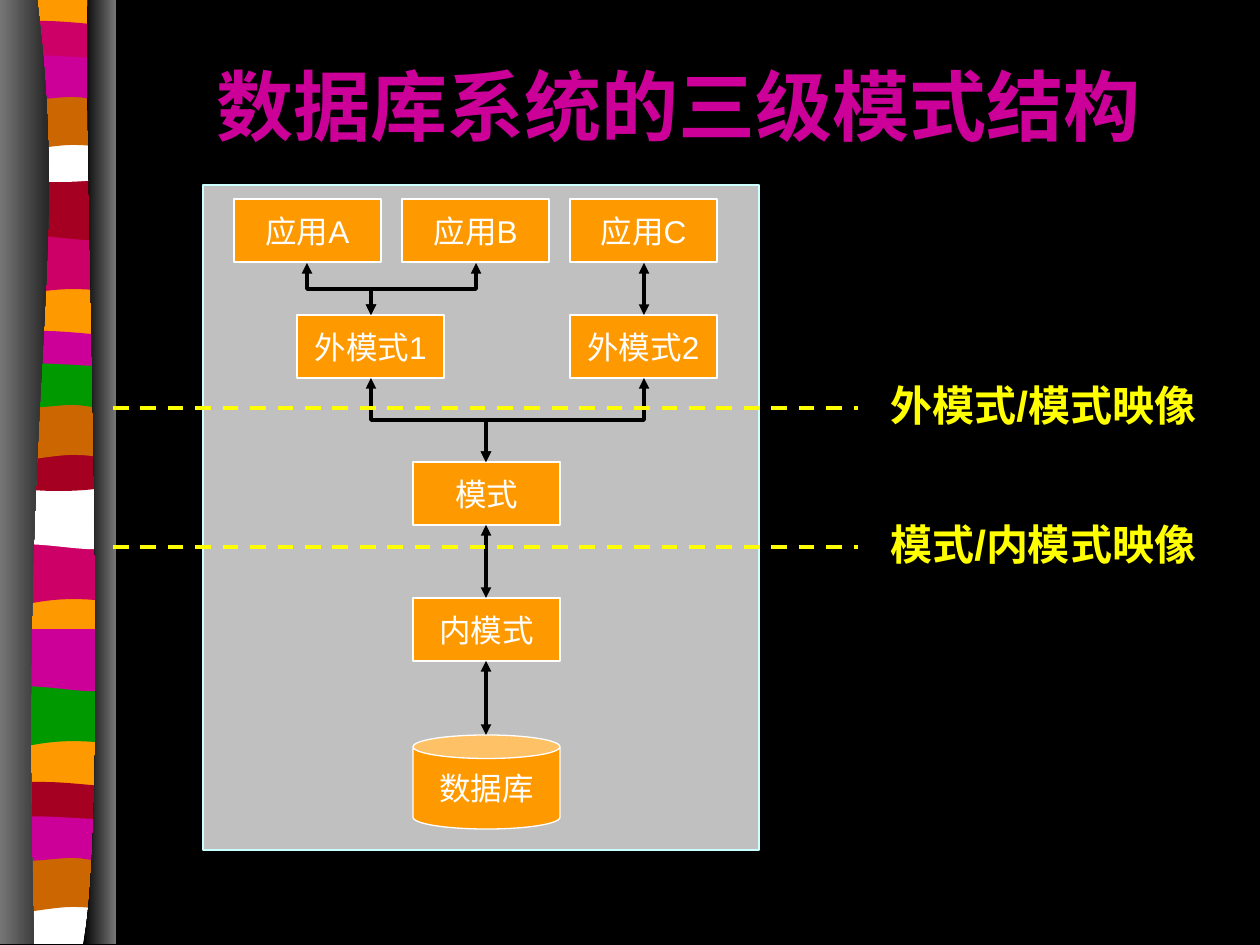
from lxml.etree import SubElement
from pptx import Presentation
from pptx.dml.color import RGBColor
from pptx.enum.dml import MSO_LINE
from pptx.enum.shapes import MSO_CONNECTOR, MSO_SHAPE
from pptx.enum.text import MSO_ANCHOR, PP_ALIGN
from pptx.oxml.ns import qn
from pptx.util import Pt

PX = 914400 / 126
BLACK = RGBColor(0x00, 0x00, 0x00)
WHITE = RGBColor(0xFF, 0xFF, 0xFF)
GREY = RGBColor(0x76, 0x76, 0x76)
SILVER = RGBColor(0xC0, 0xC0, 0xC0)
PALE_CYAN = RGBColor(0xCC, 0xFF, 0xFF)
YELLOW = RGBColor(0xFF, 0xFF, 0x00)
ORANGE = RGBColor(0xFF, 0x99, 0x00)
BROWN = RGBColor(0xCC, 0x66, 0x00)
PINK = RGBColor(0xCC, 0x00, 0x66)
MAGENTA = RGBColor(0xCC, 0x00, 0x99)
CRIMSON = RGBColor(0xA5, 0x00, 0x21)
GREEN = RGBColor(0x00, 0x99, 0x00)

deck = Presentation()
deck.slide_width, deck.slide_height = round(1260 * PX), round(945 * PX)
page = deck.slides.add_slide(deck.slide_layouts[6])
page.background.fill.solid()
page.background.fill.fore_color.rgb = BLACK
shapes = page.shapes


def write(shape, text, size=18, color=WHITE, font="Arial", bold=False,
          align=PP_ALIGN.CENTER, anchor=MSO_ANCHOR.MIDDLE, wrap=True):
    frame = shape.text_frame
    frame.word_wrap = wrap
    frame.vertical_anchor = anchor
    para = frame.paragraphs[0]
    para.alignment = align
    span = para.add_run()
    span.text = text
    span.font.size = Pt(size)
    span.font.name = font
    span.font.bold = bold
    span.font.color.rgb = color


def add_outline(left, top, width, height, edges):
    """Add a closed outline; an edge of one point is straight, of three a Bezier curve."""
    builder = shapes.build_freeform(left, top, scale=PX)
    builder.add_line_segments([(left + width, top), (left + width, top + height),
                               (left, top + height)], close=True)
    outline = builder.convert_to_shape()
    outline.shadow.inherit = False
    outline.line.fill.background()
    route = next(outline._element.iter(qn("a:path")))
    for child in list(route):
        route.remove(child)
    route.set("w", str(width))
    route.set("h", str(height))
    for index, points in enumerate(edges):
        tag = "a:moveTo" if index == 0 else "a:cubicBezTo" if len(points) == 3 else "a:lnTo"
        edge = SubElement(route, qn(tag))
        for x, y in points:
            SubElement(edge, qn("a:pt"), x=str(x), y=str(y))
    SubElement(route, qn("a:close"))
    return outline


# Ribbon: wave forms as (height, edges), all of one width
RIBBON_LEFT, RIBBON_WIDTH = 5, 108
BASE = (942, [[(108, 0)], [(108, 942)], [(0, 942)], [(0, 0)]])
SWELL = (69, [[(108, 0)], [(108, 59)], [(34, 49), (19, 69), (0, 59)], [(0, 0)]])
DIP = (69, [[(108, 0)], [(108, 59)], [(89, 69), (34, 52), (0, 59)], [(0, 0)]])
BAND = (42, [[(108, 6)], [(108, 36)], [(89, 42), (18, 42), (0, 36)], [(0, 6)],
             [(7, 0), (24, 1), (41, 1)], [(59, 1), (94, 5), (108, 6)]])
CUP = (48, [[(108, 0)], [(108, 40)], [(89, 48), (18, 48), (0, 40)], [(0, 0)],
            [(66, 6), (85, 0), (108, 0)]])
ARCH = (59, [[(108, 0)], [(108, 59)], [(92, 53), (84, 52), (67, 52)],
             [(49, 52), (16, 59), (0, 59)], [(0, 0)]])
TIDE = (52, [[(108, 6)], [(108, 45)], [(100, 52), (84, 45), (67, 45)],
             [(49, 45), (11, 52), (0, 45)], [(0, 6)],
             [(15, 0), (73, 6), (91, 6)], [(108, 6), (105, 6), (108, 6)]])
FOOT = (47, [[(108, 0)], [(108, 47)], [(0, 47)], [(0, 0)],
             [(66, 6), (85, 0), (108, 0)]])
STRIPES = [
    (BASE, -1, ORANGE),
    (SWELL, 233, PINK), (DIP, 178, CRIMSON), (BAND, 20, PINK),
    (CUP, 136, WHITE), (ARCH, 93, BROWN), (TIDE, 52, MAGENTA),
    (SWELL, 543, PINK), (DIP, 487, WHITE), (BAND, 330, MAGENTA),
    (CUP, 445, CRIMSON), (ARCH, 403, BROWN), (TIDE, 360, GREEN),
    (SWELL, 685, GREEN), (DIP, 629, MAGENTA), (BAND, 781, CRIMSON),
    (FOOT, 897, WHITE), (ARCH, 855, BROWN), (TIDE, 813, MAGENTA),
]
for (height, edges), top, color in STRIPES:
    stripe = add_outline(RIBBON_LEFT, top, RIBBON_WIDTH, height, edges)
    stripe.fill.solid()
    stripe.fill.fore_color.rgb = color

FOLDS = [
    (0, 71, [[(37, 0)], [(71, 273), (18, 374), (34, 945)], [(0, 945)], [(0, 0)]],
     (GREY, BLACK)),
    (83, 33, [[(5, 0)], [(0, 159), (28, 815), (0, 945)], [(33, 945)], [(33, 0)]],
     (BLACK, GREY)),
]
for left, width, edges, stop_colors in FOLDS:
    fold = add_outline(left, -1, width, 945, edges)
    fold.fill.gradient()
    fold.fill.gradient_angle = 0
    for stop, color in zip(fold.fill.gradient_stops, stop_colors):
        stop.color.rgb = color

# Panel, title and boxes
panel = shapes.add_shape(MSO_SHAPE.RECTANGLE,
                         *(round(v * PX) for v in (203, 185, 556, 665)))
title = shapes.add_textbox(*(round(v * PX) for v in (126, 42, 1106, 126)))
write(title, "数据库系统的三级模式结构", size=44, color=MAGENTA,
      font="Times New Roman", bold=True)

outlined = [(panel, SILVER, PALE_CYAN)]
for label, left, top in [
    ("应用A", 234, 199), ("应用B", 402, 199), ("应用C", 570, 199),
    ("外模式1", 297, 315), ("外模式2", 570, 315),
    ("模式", 413, 462), ("内模式", 413, 598), ("数据库", 413, 735),
]:
    is_store = label == "数据库"
    kind = MSO_SHAPE.CAN if is_store else MSO_SHAPE.RECTANGLE
    height = 94 if is_store else 63
    box = shapes.add_shape(kind, *(round(v * PX) for v in (left, top, 147, height)))
    write(box, label, wrap=False)
    outlined.append((box, ORANGE, WHITE))

for shape, fill, line in outlined:
    shape.shadow.inherit = False
    shape.fill.solid()
    shape.fill.fore_color.rgb = fill
    shape.line.color.rgb = line
    shape.line.width = Pt(0.75)

# Arrows between the levels, then the dashed mapping lines
LINKS = [
    (307, 263, 371, 315), (476, 263, 371, 315), (644, 263, 644, 315),
    (371, 378, 486, 462), (644, 378, 486, 462),
    (486, 525, 486, 598), (486, 661, 486, 735),
]
MAPPINGS = [(113, 408, 858, 408), (113, 547, 858, 547)]
for x1, y1, x2, y2 in LINKS + MAPPINGS:
    is_mapping = y1 == y2
    is_bent = x1 != x2 and not is_mapping
    ends = (x1, y1, x2, y2)
    if is_bent:
        # A quarter turn makes the elbow leave and arrive vertically
        mid_x, mid_y = (x1 + x2) / 2, (y1 + y2) / 2
        ends = (mid_x + y1 - mid_y, mid_y - x1 + mid_x,
                mid_x + y2 - mid_y, mid_y - x2 + mid_x)
    kind = MSO_CONNECTOR.ELBOW if is_bent else MSO_CONNECTOR.STRAIGHT
    link = shapes.add_connector(kind, *(round(v * PX) for v in ends))
    properties = link._element.spPr
    if is_bent:
        properties.xfrm.set("rot", "5400000")
    link.line.color.rgb = YELLOW if is_mapping else BLACK
    link.line.width = Pt(2.25 if is_mapping else 2)
    if is_mapping:
        link.line.dash_style = MSO_LINE.DASH
    else:
        for end in ("a:headEnd", "a:tailEnd"):
            SubElement(properties.find(qn("a:ln")), qn(end), type="triangle")
    SubElement(properties, qn("a:effectLst"))

for text, top in [("外模式/模式映像", 373), ("模式/内模式映像", 512)]:
    caption = shapes.add_textbox(*(round(v * PX) for v in (878, top, 382, 63)))
    write(caption, text, size=24, color=YELLOW, bold=True,
          align=PP_ALIGN.LEFT, anchor=MSO_ANCHOR.TOP)

deck.save("out.pptx")
